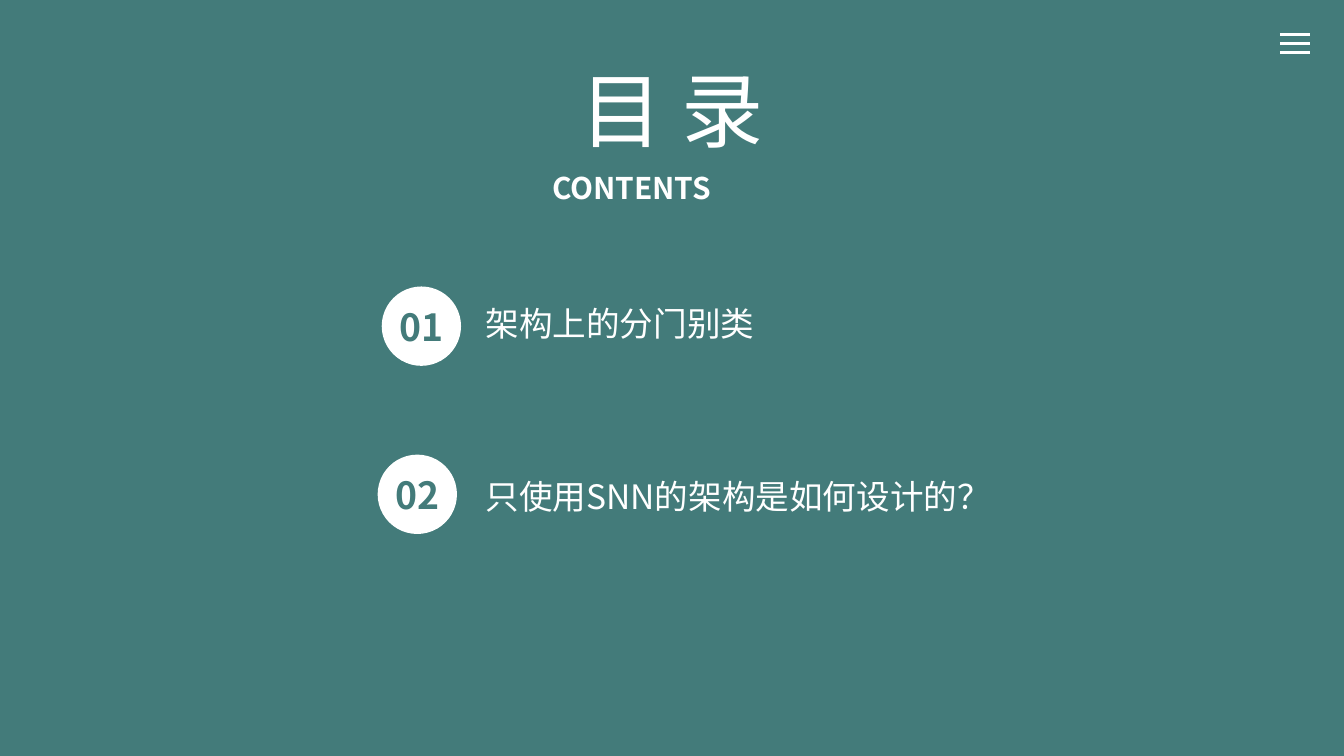
from pptx import Presentation
from pptx.dml.color import RGBColor
from pptx.enum.shapes import MSO_CONNECTOR, MSO_SHAPE
from pptx.enum.text import MSO_ANCHOR, MSO_AUTO_SIZE, PP_ALIGN
from pptx.oxml.ns import qn
from pptx.util import Inches, Pt
from lxml import etree

STRAIGHT, OVAL = MSO_CONNECTOR.STRAIGHT, MSO_SHAPE.OVAL
TOP, FIT_SHAPE = MSO_ANCHOR.TOP, MSO_AUTO_SIZE.SHAPE_TO_FIT_TEXT
LEFT, CENTER, JUSTIFY = PP_ALIGN.LEFT, PP_ALIGN.CENTER, PP_ALIGN.JUSTIFY

THEME = {
    "font": "Noto Sans CJK SC",
    "teal": RGBColor.from_string("437B7A"),
    "white": RGBColor.from_string("FFFFFF"),
    "title": Pt(44), "subtitle": Pt(16), "number": Pt(20), "entry": Pt(18),
    "rule": Pt(1.5),
}

# A 16:9 slide
presentation = Presentation()
presentation.slide_width = Inches(10)
presentation.slide_height = presentation.slide_width * 9 // 16
# The slide is a grid of 100 columns by 100 rows
COLUMN = presentation.slide_width / 100
ROW = presentation.slide_height / 100
slide = presentation.slides.add_slide(presentation.slide_layouts[5])
slide.background.fill.solid()
slide.background.fill.fore_color.rgb = THEME["teal"]


def grid(left, top, width, height):
    return [round(n) for n in (left * COLUMN, top * ROW, width * COLUMN, height * ROW)]


def write(shape, box, text, size, color="white", bold=False, align=LEFT, wrap=True):
    shape.left, shape.top, shape.width, shape.height = grid(*box)
    frame = shape.text_frame
    frame_format = {"word_wrap": wrap, "auto_size": FIT_SHAPE, "vertical_anchor": TOP}
    for name, value in frame_format.items():
        setattr(frame, name, value)
    paragraph = frame.paragraphs[0]
    paragraph.alignment = align
    run = paragraph.add_run()
    run.text = text
    run.font.color.rgb = THEME[color]
    font_format = {"name": THEME["font"], "size": THEME[size], "bold": bold}
    for name, value in font_format.items():
        setattr(run.font, name, value)
    # Chinese characters take the East Asian typeface
    properties = run._r.get_or_add_rPr()
    etree.SubElement(properties, qn("a:ea"), typeface=THEME["font"])


# Menu icon
for index in range(3):
    left, top, width, _ = grid(95.24, 4.57 + index * 1.19, 2.23, 0)
    rule = slide.shapes.add_connector(STRAIGHT, left, top, left + width, top)
    rule.line.color.rgb = THEME["white"]
    rule.line.width = THEME["rule"]
    etree.SubElement(rule._element.spPr, qn("a:effectLst"))

# Contents entries: text, circle left, text top, text width
entries = [
    ("架构上的分门别类", 28.4, 39.2, 28.4),
    ("只使用SNN的架构是如何设计的？", 28.1, 62.05, 39.1),
]
for index, (text, circle_left, text_top, text_width) in enumerate(entries):
    circle_top = 37.9 + index * 22.24
    write(slide.shapes.add_textbox(0, 0, 0, 0), (35.14, text_top, text_width, 7.12),
          text, "entry")
    circle = slide.shapes.add_shape(OVAL, *grid(circle_left, circle_top, 5.9, 10.5))
    circle.shadow.inherit = False
    circle.fill.solid()
    circle.fill.fore_color.rgb = THEME["white"]
    circle.line.fill.background()
    write(slide.shapes.add_textbox(0, 0, 0, 0),
          (circle_left - 0.7, circle_top + 1.42, 7.3, 7.83),
          f"{index + 1:02}", "number", color="teal", bold=True, align=CENTER)

# Title and subtitle
write(slide.shapes.title, (41.86, 6.94, 16.3, 14.95), "目 录", "title",
      align=CENTER, wrap=False)
write(slide.shapes.add_textbox(0, 0, 0, 0), (40.1, 21.58, 19.8, 6.58),
      "CONTENTS", "subtitle", bold=True, align=JUSTIFY)

presentation.save("out.pptx")
